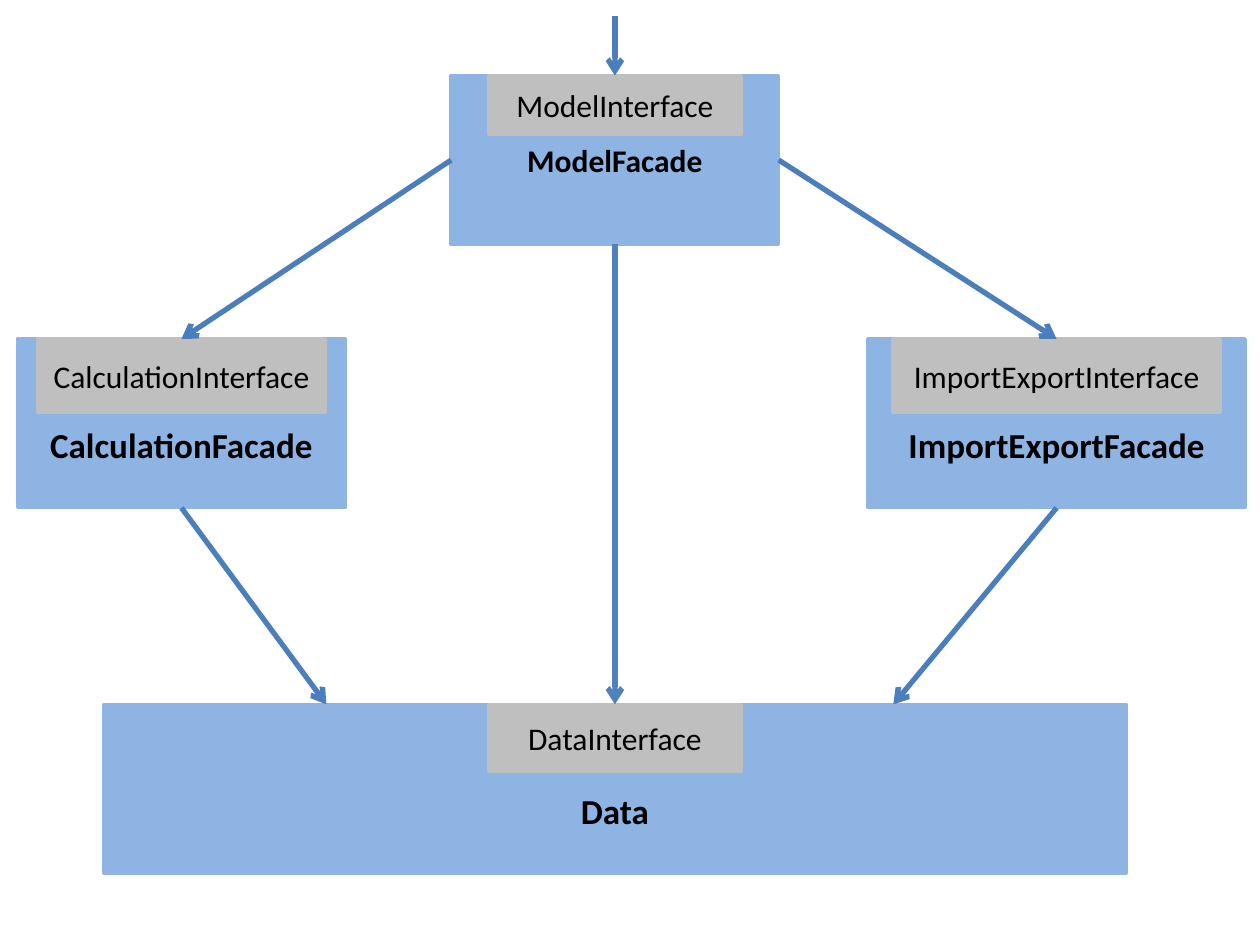
from dataclasses import dataclass

from lxml.etree import SubElement
from pptx import Presentation
from pptx.dml.color import RGBColor as RGB
from pptx.enum.shapes import MSO_CONNECTOR as CONNECTOR, MSO_SHAPE as SHAPE
from pptx.enum.text import MSO_ANCHOR as ANCHOR, PP_ALIGN as ALIGN
from pptx.oxml.ns import qn
from pptx.util import Pt


@dataclass(frozen=True)
class Theme:
    """Colours, font and type sizes of the diagram."""
    facade: RGB = RGB(0x8E, 0xB4, 0xE3)
    interface: RGB = RGB(0xBF, 0xBF, 0xBF)
    arrow: RGB = RGB(0x4B, 0x7E, 0xBC)
    center_arrow: RGB = RGB(0x4F, 0x81, 0xBD)
    text: RGB = RGB(0, 0, 0)
    font: str = "Calibri"
    title_size: int = 20
    label_size: int = 18


@dataclass(frozen=True)
class Module:
    """A facade box with its interface tab, placed by centre and top."""
    title: str
    label: str
    center: float
    top: float
    width: float
    tab_width: float
    tab_height: float
    title_size: int = 20
    inset: float = 28
    height: float = 96.5

    @property
    def bottom(self):
        """Return the lower edge."""
        return self.top + self.height

    def side(self, sign):
        """Return the middle of the left (-1) or right (1) edge."""
        return self.center + sign * self.width / 2, self.top + self.height / 2


THEME = Theme()


def add_box(slide, text, center, top, width, height, color, size, bold=False, inset=3.6):
    """Add a filled rectangle with centred text."""
    s = slide.shapes.add_shape(SHAPE.RECTANGLE, Pt(center - width / 2), Pt(top), Pt(width), Pt(height))
    s.shadow.inherit = False
    s.fill.solid()
    s.fill.fore_color.rgb = color
    s.line.color.rgb = color
    s.line.width = Pt(2)
    tf = s.text_frame
    tf.word_wrap = True
    tf.vertical_anchor = ANCHOR.MIDDLE
    tf.margin_top = Pt(inset)
    p = tf.paragraphs[0]
    p.text = text
    p.alignment = ALIGN.CENTER
    p.font.name = THEME.font
    p.font.size = Pt(size)
    p.font.bold = bold
    p.font.color.rgb = THEME.text


def add_arrow(slide, start, end, color=THEME.arrow):
    """Add a straight arrow from start to end."""
    s = slide.shapes.add_connector(CONNECTOR.STRAIGHT, *(Pt(v) for v in (*start, *end)))
    s.line.color.rgb = color
    s.line.width = Pt(3)
    SubElement(s.line._get_or_add_ln(), qn("a:tailEnd"), type="arrow")
    SubElement(s._element.spPr, qn("a:effectLst"))


def main():
    """Build the facade diagram."""
    prs = Presentation()
    prs.slide_width, prs.slide_height = Pt(720), Pt(540)
    slide = prs.slides.add_slide(prs.slide_layouts[6])

    calc = Module("CalculationFacade", "CalculationInterface", 103.7, 193.7, 187.2, 164.2, 41.8)
    transfer = Module("ImportExportFacade", "ImportExportInterface", 603.8, 193.7, 215.3, 187.2, 41.8)
    model = Module("ModelFacade", "ModelInterface", 351.4, 43.2, 187.2, 144.7, 33.8,
                   title_size=THEME.label_size, inset=3.6)
    data = Module("Data", "DataInterface", 351.4, 402.5, 583.9, 144.7, 38.2)
    modules = (calc, transfer, model, data)

    for m in modules:
        add_box(slide, m.title, m.center, m.top, m.width, m.height,
                THEME.facade, m.title_size, bold=True, inset=m.inset)
    for m in modules:
        add_box(slide, m.label, m.center, m.top, m.tab_width, m.tab_height,
                THEME.interface, THEME.label_size)

    add_arrow(slide, (model.center, 9.4), (model.center, model.top))
    for m, sign, data_x in ((calc, -1, 186.5), (transfer, 1, 510.5)):
        add_arrow(slide, model.side(sign), (m.center, m.top))
        add_arrow(slide, (m.center, m.bottom), (data_x, data.top))
    add_arrow(slide, (model.center, model.bottom), (data.center, data.top), THEME.center_arrow)
    prs.save("out.pptx")


main()
